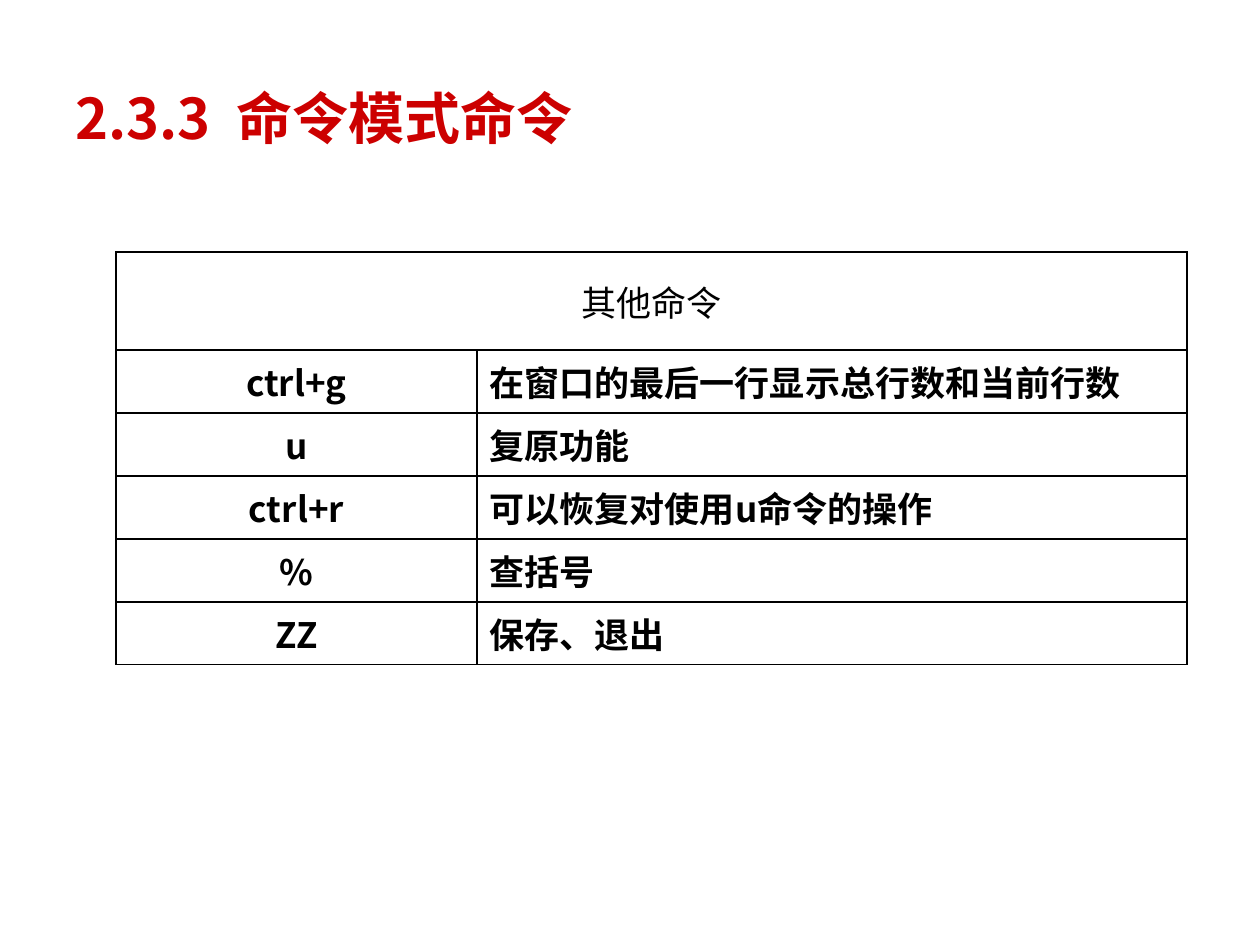
from lxml.etree import SubElement
from pptx import Presentation
from pptx.dml.color import RGBColor
from pptx.enum.text import MSO_ANCHOR as Anchor, PP_ALIGN as Align
from pptx.oxml.ns import qn
from pptx.util import Emu, Pt

PX = 914400 // 126
RED = RGBColor(0xCC, 0x00, 0x00)
BLACK = RGBColor(0x00, 0x00, 0x00)
NOTO, TIMES, ARIAL = "Noto Sans CJK SC", "Times New Roman", "Arial"

HEADING = "其他命令"
COMMANDS = [
    ("ctrl+g", [("在窗口的最后一行显示总行数和当前行数", TIMES)]),
    ("u", [("复原功能", TIMES)]),
    ("ctrl+r", [("可以恢复对使用", ARIAL), ("u", NOTO), ("命令的操作", ARIAL)]),
    ("%", [("查括号", TIMES)]),
    ("ZZ", [("保存、退出", TIMES)]),
]
COLUMN_WIDTHS = (361, 710)
HEADING_HEIGHT, COMMAND_HEIGHT = 98, 63


def px(length):
    """Turn pixels into EMU."""
    return Emu(length * PX)


def write_text(text_frame, runs, size=20, color=BLACK, bold=True, align=Align.LEFT):
    """Write (text, font) runs into the first paragraph."""
    paragraph = text_frame.paragraphs[0]
    paragraph.alignment = align
    for text, font_name in runs:
        run = paragraph.add_run()
        run.text = text
        font = run.font
        font.size, font.bold, font.name = Pt(size), bold, font_name
        font.color.rgb = color
        SubElement(font._element, qn("a:ea"), typeface=NOTO)


def add_title(slide, text):
    """Add the red slide title."""
    box = slide.shapes.add_textbox(px(63), px(38), px(1134), px(158))
    box.text_frame.word_wrap = True
    box.text_frame.vertical_anchor = Anchor.MIDDLE
    write_text(box.text_frame, [(text, NOTO)], size=32, color=RED)


def style_cell(cell):
    """Give a cell black borders, no fill and centred anchoring."""
    properties = cell._tc.get_or_add_tcPr()
    for side in ("lnL", "lnR", "lnT", "lnB"):
        line = SubElement(properties, qn(f"a:{side}"), w=str(Pt(1)))
        fill = SubElement(line, qn("a:solidFill"))
        SubElement(fill, qn("a:srgbClr"), val=str(BLACK))
    cell.fill.background()
    cell.vertical_anchor = Anchor.MIDDLE


def add_command_table(slide):
    """Add the table of commands under one merged heading."""
    heights = [HEADING_HEIGHT] + [COMMAND_HEIGHT] * len(COMMANDS)
    table = slide.shapes.add_table(
        len(heights), len(COLUMN_WIDTHS), px(116), px(252),
        px(sum(COLUMN_WIDTHS)), px(sum(heights)),
    ).table
    table.first_row = table.horz_banding = False
    for column, width in zip(table.columns, COLUMN_WIDTHS):
        column.width = px(width)
    for row, height in zip(table.rows, heights):
        row.height = px(height)
    for cell in table.iter_cells():
        style_cell(cell)
    heading = table.cell(0, 0)
    heading.merge(table.cell(0, 1))
    write_text(heading.text_frame, [(HEADING, TIMES)], bold=False, align=Align.CENTER)
    for index, (command, description) in enumerate(COMMANDS, start=1):
        write_text(table.cell(index, 0).text_frame, [(command, NOTO)], align=Align.CENTER)
        write_text(table.cell(index, 1).text_frame, description)


def main():
    """Build and save the slide."""
    presentation = Presentation()
    presentation.slide_width, presentation.slide_height = px(1260), px(945)
    slide = presentation.slides.add_slide(presentation.slide_layouts[6])
    add_title(slide, "2.3.3  命令模式命令")
    add_command_table(slide)
    presentation.save("out.pptx")


if __name__ == "__main__":
    main()
